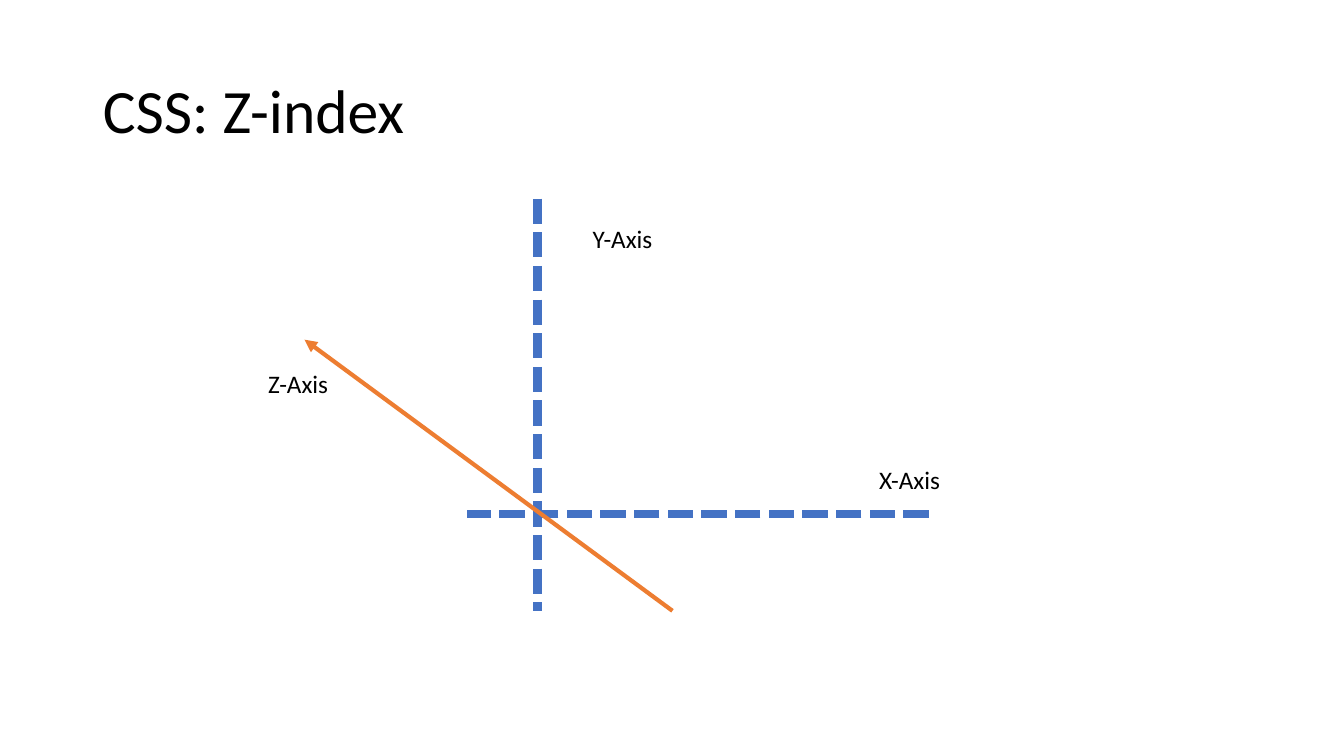
"""Build the CSS Z-index slide with its three axes."""
from lxml.etree import SubElement
from pptx import Presentation
from pptx.dml.color import RGBColor
from pptx.enum.dml import MSO_LINE
from pptx.enum.shapes import MSO_CONNECTOR
from pptx.enum.text import MSO_ANCHOR, MSO_AUTO_SIZE, PP_ALIGN
from pptx.oxml.ns import qn
from pptx.util import Inches, Pt

BLACK = RGBColor(0x00, 0x00, 0x00)
BLUE = RGBColor(0x44, 0x72, 0xC4)
ORANGE = RGBColor(0xED, 0x7D, 0x31)


def write(frame, text, size, wrap=False, anchor=MSO_ANCHOR.TOP,
          autosize=MSO_AUTO_SIZE.SHAPE_TO_FIT_TEXT, spacing=1.0):
    frame.word_wrap = wrap
    frame.auto_size = autosize
    frame.vertical_anchor = anchor
    paragraph = frame.paragraphs[0]
    paragraph.alignment = PP_ALIGN.LEFT
    paragraph.line_spacing = spacing
    run = paragraph.add_run()
    run.text = text
    run.font.name = "Calibri"
    run.font.size = Pt(size)
    run.font.color.rgb = BLACK


presentation = Presentation()
presentation.slide_width = Inches(13.33)
presentation.slide_height = Inches(7.5)
slide = presentation.slides.add_slide(presentation.slide_layouts[5])

title = slide.shapes.title
title.left, title.top = Inches(0.92), Inches(0.4)
title.width, title.height = Inches(11.5), Inches(1.45)
write(title.text_frame, "CSS: Z-index", 44, wrap=True, anchor=MSO_ANCHOR.MIDDLE,
      autosize=MSO_AUTO_SIZE.NONE, spacing=0.9)

axes = [
    ("Y-Axis", (5.33, 1.97, 5.33, 6.06), BLUE, 6, (5.78, 2.17)),
    ("X-Axis", (9.21, 5.1, 4.63, 5.1), BLUE, 6, (8.62, 4.56)),
    ("Z-Axis", (6.67, 6.06, 3.02, 3.37), ORANGE, 3, (2.56, 3.61)),
]
for name, ends, color, weight, (label_left, label_top) in axes:
    axis = slide.shapes.add_connector(
        MSO_CONNECTOR.STRAIGHT, *[Inches(end) for end in ends])
    axis.line.color.rgb = color
    axis.line.width = Pt(weight)
    if name == "Z-Axis":
        SubElement(axis.line._get_or_add_ln(), qn("a:tailEnd"), type="triangle")
    else:
        axis.line.dash_style = MSO_LINE.SQUARE_DOT
    SubElement(axis._element.spPr, qn("a:effectLst"))

    label = slide.shapes.add_textbox(
        Inches(label_left), Inches(label_top), Inches(0.81), Inches(0.4))
    write(label.text_frame, name, 18)

presentation.save("out.pptx")
